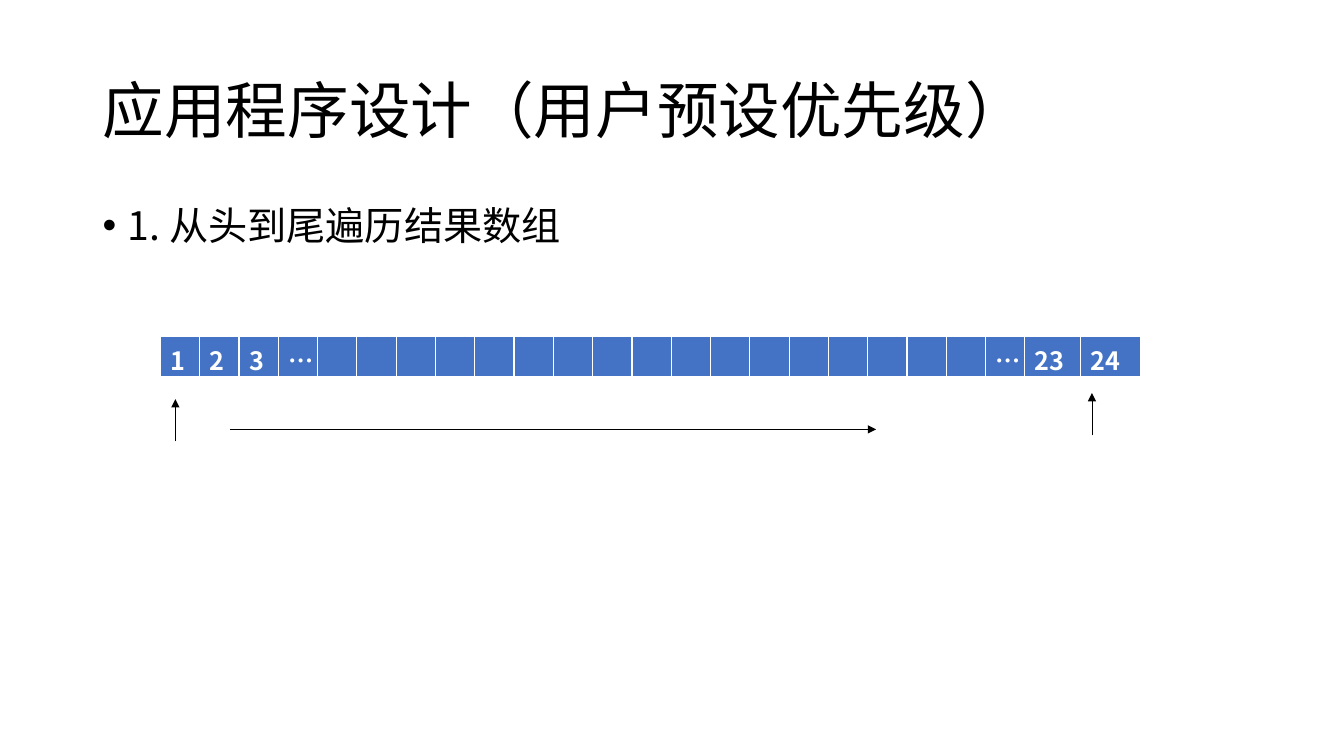
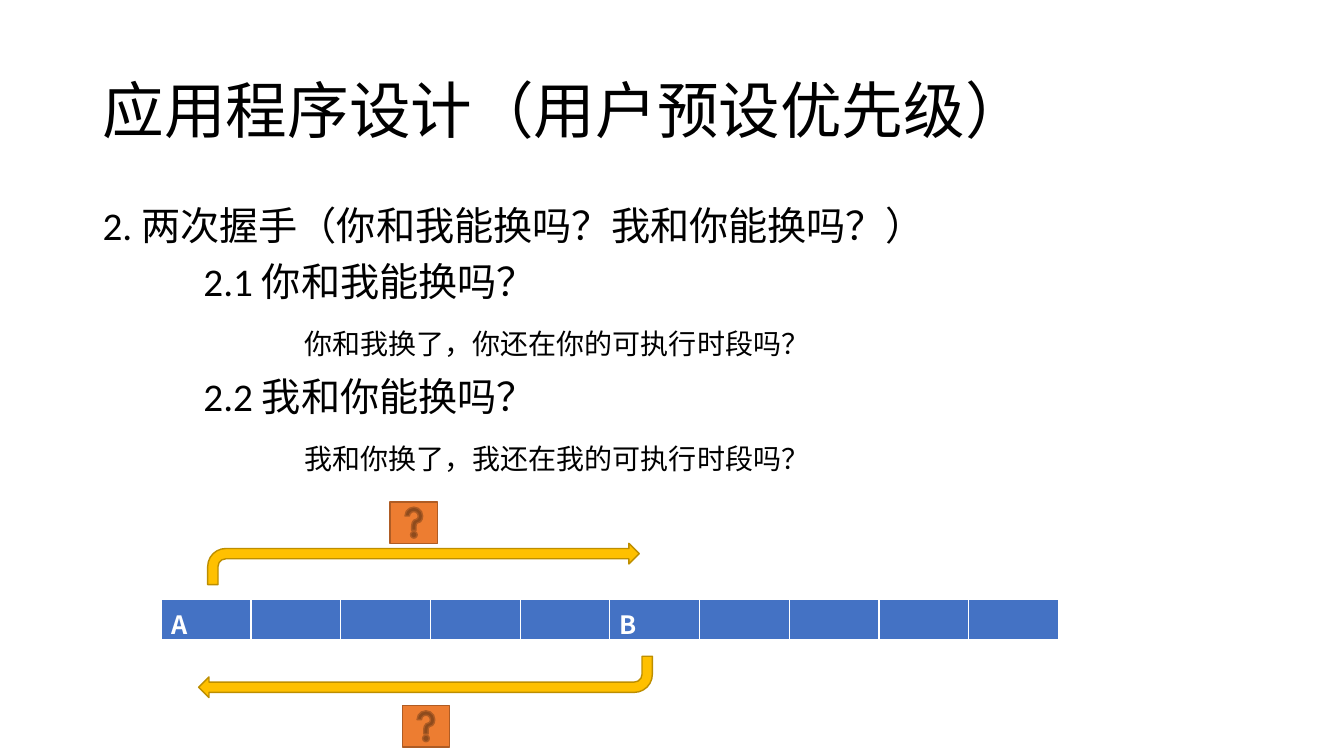
"""Build two slides on application design with user-set priorities."""
from lxml.etree import SubElement
from pptx import Presentation
from pptx.dml.color import RGBColor
from pptx.enum.lang import MSO_LANGUAGE_ID as LANG
from pptx.enum.shapes import MSO_CONNECTOR as LINE, MSO_SHAPE as SHAPE
from pptx.enum.text import MSO_ANCHOR as ANCHOR
from pptx.oxml.ns import qn
from pptx.util import Pt

PX = 9144
CJK = "Noto Sans CJK SC"
COLORS = {
    "text": "000000", "cell": "4472C4", "white": "FFFFFF",
    "arrow": "FFC000", "arrow_line": "BD8E00",
    "help": "ED7D31", "help_line": "AF5C24",
}
RGB = {name: RGBColor.from_string(value) for name, value in COLORS.items()}
TITLE = "应用程序设计（用户预设优先级）"


def add_span(para, text, size, face=CJK, color="text", bold=False):
    span = para.add_run()
    span.text = text
    font = span.font
    font.size, font.bold, font.name = Pt(size), bold, face
    font.language_id = LANG.SIMPLIFIED_CHINESE
    font.color.rgb = RGB[color]
    SubElement(font._element, qn("a:ea"), typeface=CJK)


def add_array(page, left, top, widths, labels):
    frame = page.shapes.add_table(1, len(widths), left * PX, top * PX, sum(widths) * PX, 41 * PX)
    table = frame.table
    table.first_row = table.horz_banding = False
    table.rows[0].height = 41 * PX
    for index, width in enumerate(widths):
        table.columns[index].width = width * PX
        cell = table.cell(0, index)
        props = cell._tc.get_or_add_tcPr()
        for side, points in (("L", 1), ("R", 1), ("T", 1), ("B", 3)):
            border = SubElement(props, qn(f"a:ln{side}"), w=str(Pt(points)))
            fill = SubElement(border, qn("a:solidFill"))
            SubElement(fill, qn("a:srgbClr"), val=COLORS["white"])
        cell.fill.solid()
        cell.fill.fore_color.rgb = RGB["cell"]
        if index in labels:
            add_span(cell.text_frame.paragraphs[0], labels[index], 18, color="white", bold=True)


deck = Presentation()
deck.slide_width, deck.slide_height = 1333 * PX, 750 * PX

# text, size, left indent, space before, bullet
bodies = [
    (CJK, [("1. 从头到尾遍历结果数组", 28, 25, 10, True)]),
    ("Calibri", [
        ("2. 两次握手（你和我能换吗？我和你能换吗？）", 28, 0, 10, False),
        ("2.1 你和我能换吗？", 28, 100, 10, False),
        ("你和我换了，你还在你的可执行时段吗？", 20, 200, 18, False),
        ("2.2 我和你能换吗？", 28, 100, 12, False),
        ("我和你换了，我还在我的可执行时段吗？", 20, 200, 18, False),
    ]),
]
pages = []
for face, lines in bodies:
    page = deck.slides.add_slide(deck.slide_layouts[6])
    pages.append(page)

    title = page.shapes.add_textbox(92 * PX, 40 * PX, 1150 * PX, 145 * PX).text_frame
    title.word_wrap = True
    title.vertical_anchor = ANCHOR.MIDDLE
    title.paragraphs[0].line_spacing = 0.9
    add_span(title.paragraphs[0], TITLE, 44)

    body = page.shapes.add_textbox(92 * PX, 200 * PX, 1150 * PX, 476 * PX).text_frame
    body.word_wrap = True
    for index, (text, size, indent, before, bullet) in enumerate(lines):
        para = body.add_paragraph() if index else body.paragraphs[0]
        para.line_spacing, para.space_before = 0.9, Pt(before)
        props = para._p.get_or_add_pPr()
        props.set("marL", str(indent * PX))
        if bullet:
            props.set("indent", str(-indent * PX))
            SubElement(props, qn("a:buFont"), typeface="Arial")
            SubElement(props, qn("a:buChar"), char="•")
        add_span(para, text, size, face)

scan_page, swap_page = pages

add_array(scan_page, 159, 334, [39] * 22 + [55, 60],
          {0: "1", 1: "2", 2: "3", 3: "…", 21: "…", 22: "23", 23: "24"})
for ends in ((174, 438, 174, 396), (228, 426, 869, 426), (1083, 432, 1083, 390)):
    arrow = scan_page.shapes.add_connector(LINE.STRAIGHT, *(end * PX for end in ends))
    arrow.line.color.rgb = RGB["text"]
    arrow.line.width = Pt(0.5)
    SubElement(arrow.line._get_or_add_ln(), qn("a:tailEnd"), type="triangle")
    SubElement(arrow._element.spPr, qn("a:effectLst"))

add_array(swap_page, 160, 595, [89] * 10, {0: "A", 5: "B"})
for kind, left, top, width, turn, color in (
    (SHAPE.BENT_ARROW, 206, 539, 428, 0, "arrow"),
    (SHAPE.BENT_ARROW, 197, 651, 450, 180, "arrow"),
    (SHAPE.ACTION_BUTTON_HELP, 387, 498, 47, 0, "help"),
    (SHAPE.ACTION_BUTTON_HELP, 399, 700, 47, 0, "help"),
):
    shape = swap_page.shapes.add_shape(kind, left * PX, top * PX, width * PX, 41 * PX)
    shape.rotation = turn
    shape.shadow.inherit = False
    shape.fill.solid()
    shape.fill.fore_color.rgb = RGB[color]
    shape.line.color.rgb = RGB[f"{color}_line"]
    shape.line.width = Pt(1)

deck.save("out.pptx")
